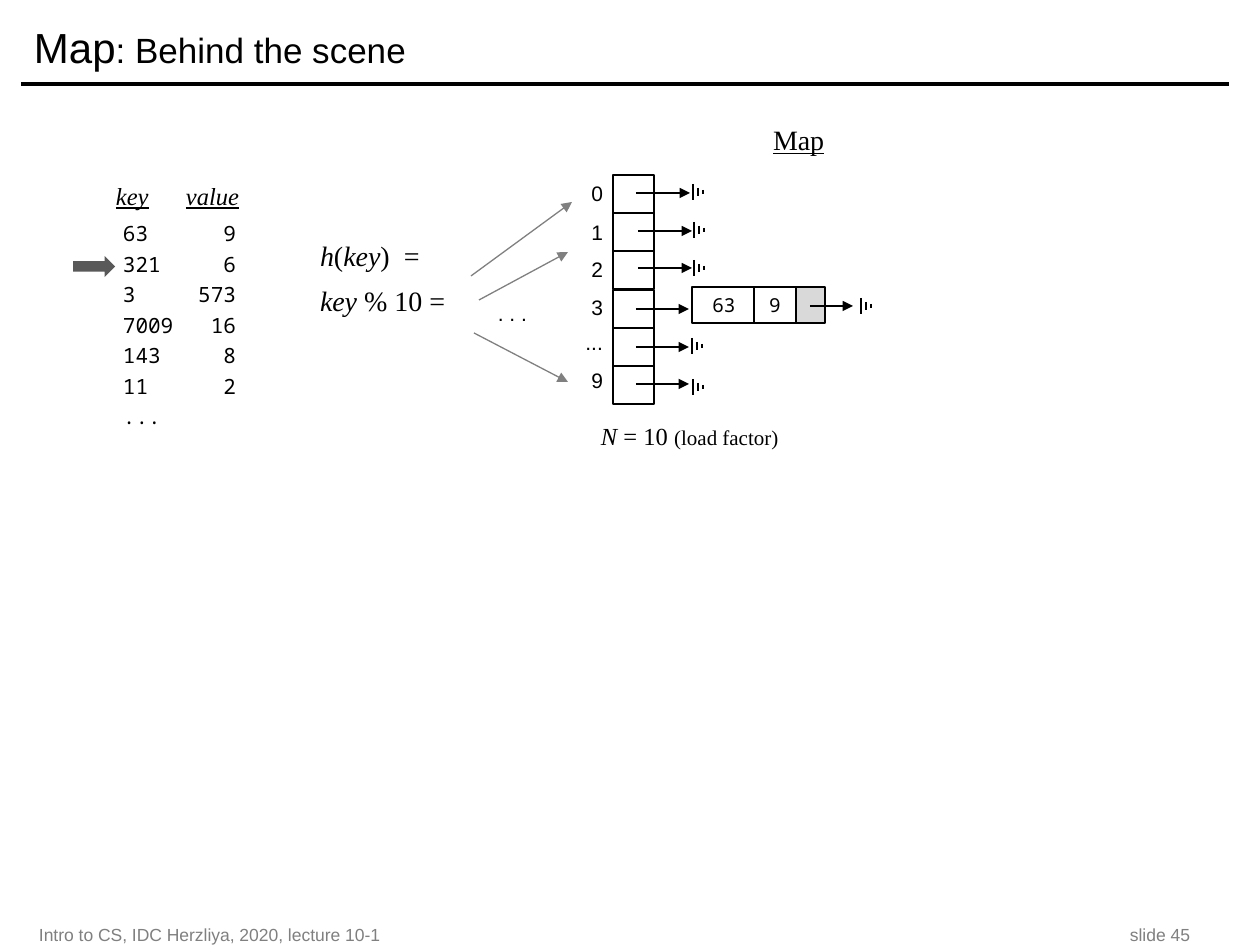
from lxml.etree import SubElement
from pptx import Presentation
from pptx.dml.color import RGBColor
from pptx.enum.shapes import MSO_CONNECTOR, MSO_SHAPE
from pptx.enum.text import MSO_ANCHOR, PP_ALIGN
from pptx.oxml.ns import qn
from pptx.util import Pt

EMU_PER_PX = 914400 / 126
COLORS = {
    "ink": "000000",
    "gray": "808080",
    "marker": "595959",
    "link": "D9D9D9",
    "paper": "FFFFFF",
}
SANS = "Arial"
SERIF = "Times New Roman"
MONO = "Noto Sans Mono"

ENTRIES = [("63", "9"), ("321", "6"), ("3", "573"), ("7009", "16"),
           ("143", "8"), ("11", "2")]
BUCKETS = [
    ("0", 175, (636, 690, 193), (693, 192)),
    ("1", 214, (638, 692, 231), (694, 230)),
    ("2", 251, (638, 692, 268), (694, 268)),
    ("3", 289, (636, 689, 309), None),
    ("...", 324, (636, 689, 347), (692, 346)),
    ("9", 362, (636, 689, 384), (693, 387)),
]
HASH_ARROWS = [(471, 276, 572, 202), (479, 300, 568, 252), (474, 333, 568, 382)]
GROUND_BARS = [(0, 8), (5, 4), (10, 2)]


def px(length):
    return round(length * EMU_PER_PX)


def rgb(name):
    return RGBColor.from_string(COLORS[name])


def add_tab(paragraph, position, align):
    tabs = SubElement(paragraph._p.get_or_add_pPr(), qn("a:tabLst"))
    SubElement(tabs, qn("a:tab"), pos=str(px(position)), algn=align)


def write_text(frame, paragraphs, font=SANS, size=12, color="ink", align=None,
               anchor=MSO_ANCHOR.TOP, insets=(13, 6, 13, 6), wrap=True,
               tab=None, line_spacing=None, space_before=0):
    frame.word_wrap = wrap
    frame.vertical_anchor = anchor
    (frame.margin_left, frame.margin_top,
     frame.margin_right, frame.margin_bottom) = map(px, insets)
    for index, spans in enumerate(paragraphs):
        paragraph = frame.add_paragraph() if index else frame.paragraphs[0]
        if tab:
            add_tab(paragraph, *tab)
        paragraph.alignment = align
        paragraph.line_spacing = line_spacing
        if index:
            paragraph.space_before = Pt(space_before)
        for text, changes in spans:
            span = paragraph.add_run()
            span.text = text
            span.font.name = font
            span.font.size = Pt(changes.get("size", size))
            span.font.italic = changes.get("italic", False)
            span.font.underline = changes.get("underline", False)
            span.font.color.rgb = rgb(color)


def add_text(page, left, top, width, height, paragraphs, **style):
    box = page.shapes.add_textbox(px(left), px(top), px(width), px(height))
    write_text(box.text_frame, paragraphs, **style)


def add_block(page, left, top, width, height, fill=None, line="ink",
              kind=MSO_SHAPE.RECTANGLE, text=None):
    block = page.shapes.add_shape(kind, px(left), px(top), px(width), px(height))
    block.shadow.inherit = False
    if fill:
        block.fill.solid()
        block.fill.fore_color.rgb = rgb(fill)
    else:
        block.fill.background()
    if line:
        block.line.color.rgb = rgb(line)
        block.line.width = Pt(0.75)
    else:
        block.line.fill.background()
    if text:
        write_text(block.text_frame, [[(text, {})]], font=MONO, size=11,
                   align=PP_ALIGN.CENTER, anchor=MSO_ANCHOR.MIDDLE,
                   insets=(0, 0, 0, 0))


def add_line(page, x1, y1, x2, y2, color="ink", width=0.75, arrow=False):
    line = page.shapes.add_connector(MSO_CONNECTOR.STRAIGHT,
                                     px(x1), px(y1), px(x2), px(y2))
    line.line.color.rgb = rgb(color)
    line.line.width = Pt(width)
    if arrow:
        SubElement(line.line._get_or_add_ln(), qn("a:tailEnd"), type="triangle")
    SubElement(line._element.spPr, qn("a:effectLst"))


def add_ground(page, left, middle):
    for offset, reach in GROUND_BARS:
        add_line(page, left + offset, middle - reach, left + offset, middle + reach)


def add_frame(page):
    add_line(page, 21, 84, 1229, 84, width=2)
    add_text(page, 26, 921, 1198, 28,
             [[("Intro to CS, IDC Herzliya, 2020, lecture 10-1\tslide 45", {})]],
             size=10, color="gray", anchor=MSO_ANCHOR.MIDDLE, tab=(1151, "r"))
    add_text(page, 21, 10, 1207, 73,
             [[("Map", {"size": 24}), (": Behind the scene", {})]],
             size=20, anchor=MSO_ANCHOR.MIDDLE)


def add_entries(page):
    heading = {"italic": True, "underline": True}
    add_text(page, 103, 178, 399, 42,
             [[("key", heading), ("\t", {}), ("value", heading)]],
             font=SERIF, size=14, line_spacing=0.9, tab=(70, "l"))
    rows = [[(f"{key}\t{value}", {})] for key, value in ENTRIES]
    add_text(page, 110, 215, 331, 307, rows + [[("...", {})]], font=MONO,
             line_spacing=Pt(14.4), space_before=3, tab=(113, "r"))
    add_block(page, 73, 256, 42, 21, fill="marker", line=None,
              kind=MSO_SHAPE.RIGHT_ARROW)


def add_hash(page):
    italic = {"italic": True}
    add_text(page, 307, 233, 158, 91,
             [[("h", italic), ("(", {}), ("key", italic), (")\t=", {})],
              [("key", italic), (" % 10 =", {})]],
             font=SERIF, size=16, space_before=6, tab=(84, "l"))
    for ends in HASH_ARROWS:
        add_line(page, *ends, color="gray", arrow=True)
    add_text(page, 474, 295, 63, 38, [[(". . .", {})]],
             align=PP_ALIGN.RIGHT, insets=(0, 6, 10, 6))


def add_buckets(page):
    add_text(page, 760, 120, 108, 42, [[("Map", {"underline": True})]],
             font=SERIF, size=16, line_spacing=0.9)
    for row, (label, label_top, arrow, ground) in enumerate(BUCKETS):
        add_block(page, 613, round(175 + 38.2 * row), 41, 38)
        add_text(page, 550, label_top, 63, 38, [[(label, {})]],
                 align=PP_ALIGN.RIGHT, insets=(0, 6, 10, 6))
        start, end, middle = arrow
        add_line(page, start, middle, end, middle, arrow=True)
        if ground:
            add_ground(page, *ground)
    add_text(page, 588, 415, 207, 43,
             [[("N", {"italic": True}), (" = 10 ", {}),
               ("(load factor)", {"size": 12})]], font=SERIF, size=14)


def add_node(page):
    add_block(page, 692, 287, 64, 36, text="63")
    add_block(page, 796, 287, 29, 36, fill="link")
    add_block(page, 754, 287, 42, 36, fill="paper", text="9")
    add_line(page, 810, 306, 853, 306, arrow=True)
    add_ground(page, 861, 306)


def main():
    deck = Presentation()
    deck.slide_width, deck.slide_height = px(1260), px(945)
    page = deck.slides.add_slide(deck.slide_layouts[6])
    add_frame(page)
    add_entries(page)
    add_hash(page)
    add_buckets(page)
    add_node(page)
    deck.save("out.pptx")


if __name__ == "__main__":
    main()
